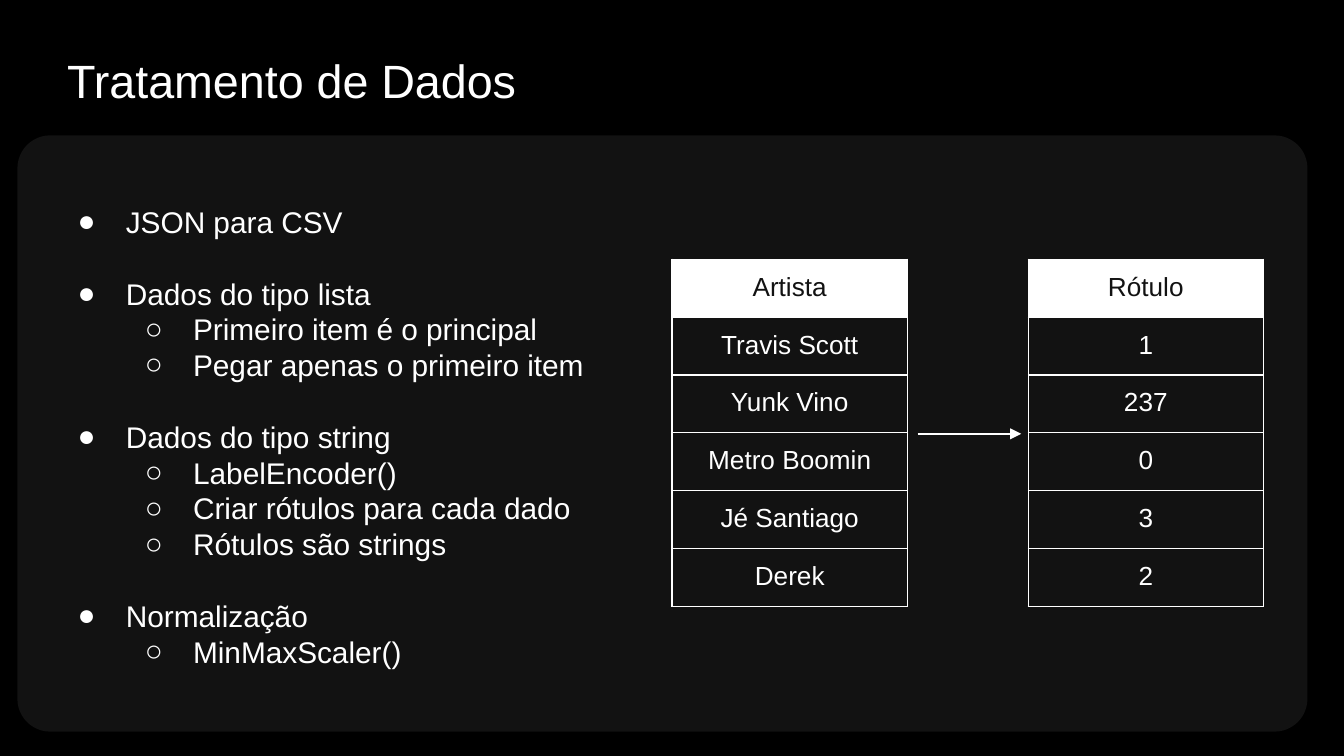
from dataclasses import dataclass

from lxml import etree
from pptx import Presentation
from pptx.dml.color import RGBColor
from pptx.enum.shapes import MSO_CONNECTOR, MSO_SHAPE
from pptx.enum.text import PP_ALIGN
from pptx.oxml import parse_xml
from pptx.oxml.ns import nsdecls, qn
from pptx.util import Cm, Pt

ROUND = MSO_SHAPE.ROUNDED_RECTANGLE
STRAIGHT = MSO_CONNECTOR.STRAIGHT
CENTER = PP_ALIGN.CENTER
PAD = Cm(0.25)


@dataclass(frozen=True)
class Theme:
    back: str = "000000"
    panel: str = "121212"
    light: str = "FFFFFF"
    font: str = "Arial"
    title: float = 25
    body: float = 16
    cell: float = 14
    rule: float = 0.75


THEME = Theme()

TOPICS = [
    ("JSON para CSV", []),
    ("Dados do tipo lista",
     ["Primeiro item é o principal", "Pegar apenas o primeiro item"]),
    ("Dados do tipo string",
     ["LabelEncoder()", "Criar rótulos para cada dado", "Rótulos são strings"]),
    ("Normalização", ["MinMaxScaler()"]),
]
ARTISTS = ["Artista", "Travis Scott", "Yunk Vino", "Metro Boomin",
           "Jé Santiago", "Derek"]
LABELS = ["Rótulo", "1", "237", "0", "3", "2"]


def rgb(color):
    return RGBColor.from_string(color)


def style(para, size, color=THEME.light):
    para.font.name = THEME.font
    para.font.size = Pt(size)
    para.font.color.rgb = rgb(color)


def add_frame(slide, box):
    frame = slide.shapes.add_textbox(*box).text_frame
    frame.word_wrap = True
    frame.margin_left = frame.margin_right = PAD
    frame.margin_top = frame.margin_bottom = PAD
    return frame


def add_panel(slide, box):
    panel = slide.shapes.add_shape(ROUND, *box)
    panel.adjustments[0] = 0.055
    panel.shadow.inherit = False
    panel.fill.solid()
    panel.fill.fore_color.rgb = rgb(THEME.panel)
    panel.line.fill.background()


def add_title(slide, box, text):
    para = add_frame(slide, box).paragraphs[0]
    para.text = text
    para.line_spacing = 1.15
    style(para, THEME.title)


def set_bullet(para, level):
    para.level = level
    props = para._p.get_or_add_pPr()
    props.set("marL", str(Cm(1.27 * (level + 1))))
    props.set("indent", str(-Cm(0.91)))
    color = etree.SubElement(props, qn("a:buClr"))
    etree.SubElement(color, qn("a:srgbClr"), val=THEME.light)
    etree.SubElement(props, qn("a:buFont"), typeface=THEME.font)
    etree.SubElement(props, qn("a:buChar"), char="●○"[level])


def add_topics(slide, box, topics):
    """Two-level list with one line of space between topics."""
    frame = add_frame(slide, box)
    pitch = Pt(THEME.body * 1.2)
    for i, (head, items) in enumerate(topics):
        for j, text in enumerate([head, *items]):
            first = i == j == 0
            para = frame.paragraphs[0] if first else frame.add_paragraph()
            para.text = text
            set_bullet(para, min(j, 1))
            para.line_spacing = pitch
            if i and not j:
                para.space_before = pitch
            style(para, THEME.body)


def set_border(cell):
    props = cell._tc.get_or_add_tcPr()
    for i, side in enumerate(("lnL", "lnR", "lnT", "lnB")):
        props.insert(i, parse_xml(
            f'<a:{side} {nsdecls("a")} w="{Pt(THEME.rule)}"><a:solidFill>'
            f'<a:srgbClr val="{THEME.light}"/></a:solidFill></a:{side}>'))


def add_column(slide, box, values):
    """One-column table whose first row is a light header."""
    table = slide.shapes.add_table(len(values), 1, *box).table
    table.first_row = table.horz_banding = False
    for i, text in enumerate(values):
        cell = table.cell(i, 0)
        cell.margin_left = cell.margin_right = PAD
        cell.margin_top = cell.margin_bottom = PAD
        if i:
            cell.fill.background()
        else:
            cell.fill.solid()
            cell.fill.fore_color.rgb = rgb(THEME.light)
        set_border(cell)
        para = cell.text_frame.paragraphs[0]
        para.text = text
        para.alignment = CENTER
        style(para, THEME.cell, THEME.light if i else THEME.panel)


def add_arrow(slide, left, right, y):
    arrow = slide.shapes.add_connector(STRAIGHT, left, y, right, y)
    arrow.line.color.rgb = rgb(THEME.light)
    arrow.line.width = Pt(THEME.rule)
    etree.SubElement(arrow.line._get_or_add_ln(), qn("a:tailEnd"),
                     type="triangle")
    etree.SubElement(arrow._element.spPr, qn("a:effectLst"))


def add_mapping(slide, box):
    """Artist column, arrow and label column across the box."""
    left, top, width, height = box
    col = Cm(4.45)
    right = left + width - col
    add_column(slide, (left, top, col, height), ARTISTS)
    add_column(slide, (right, top, col, height), LABELS)
    add_arrow(slide, left + col + Cm(0.19), right - Cm(0.13),
              top + height // 2 + Cm(0.17))


def main():
    deck = Presentation()
    deck.slide_width, deck.slide_height = Cm(25.4), Cm(14.29)
    slide = deck.slides.add_slide(deck.slide_layouts[6])
    fill = slide.background.fill
    fill.solid()
    fill.fore_color.rgb = rgb(THEME.back)
    add_panel(slide, (Cm(0.33), Cm(2.56), Cm(24.38), Cm(11.27)))
    add_title(slide, (Cm(1.02), Cm(0.58), Cm(14.45), Cm(1.47)),
              "Tratamento de Dados")
    add_mapping(slide, (Cm(12.7), Cm(4.9), Cm(11.18), Cm(6.26)))
    add_topics(slide, (Cm(0.86), Cm(3.6), Cm(10.74), Cm(9.7)), TOPICS)
    deck.save("out.pptx")


if __name__ == "__main__":
    main()
